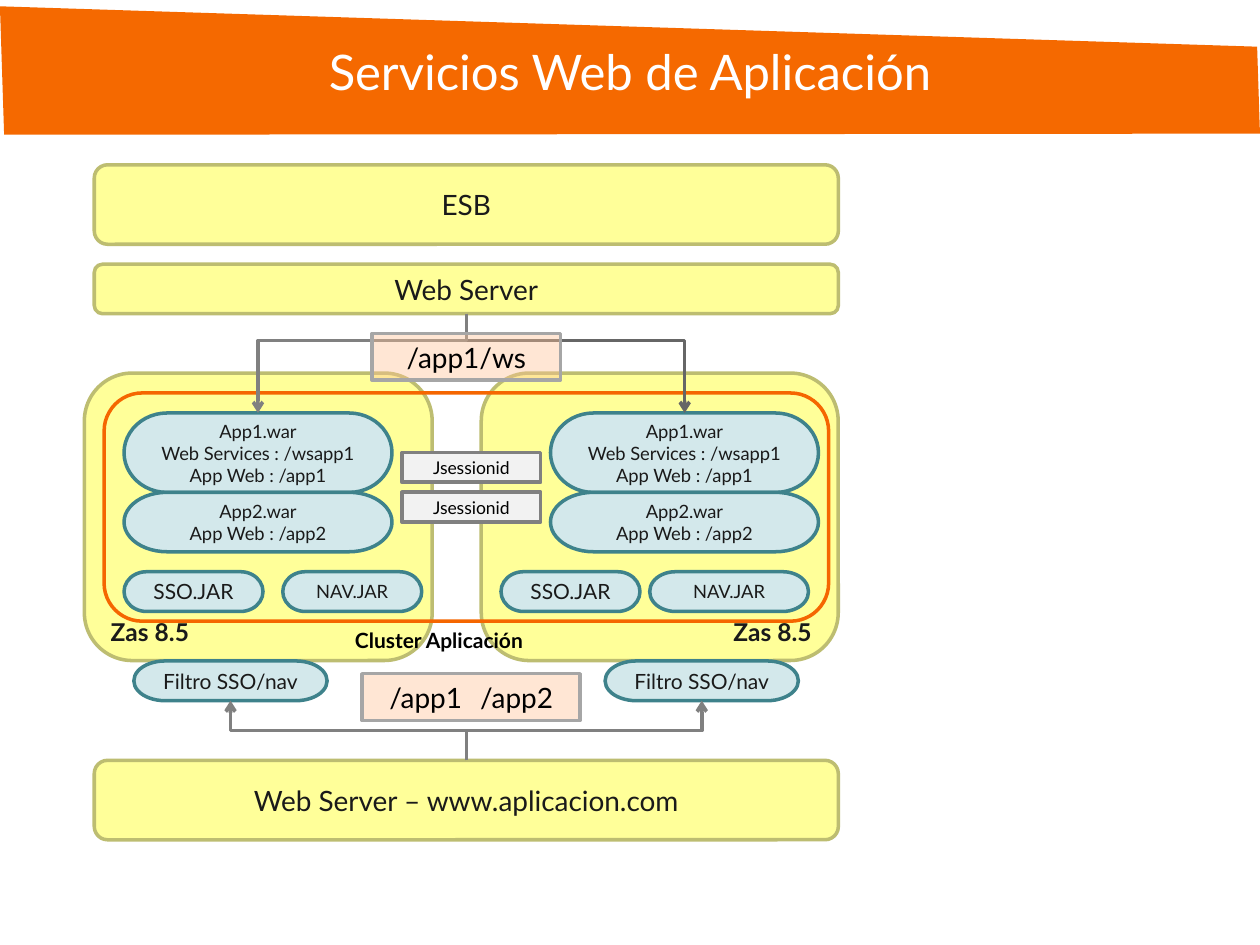
from dataclasses import dataclass

from lxml.etree import SubElement
from pptx import Presentation
from pptx.dml.color import RGBColor
from pptx.enum.shapes import MSO_CONNECTOR, MSO_SHAPE
from pptx.enum.text import MSO_ANCHOR, PP_ALIGN
from pptx.oxml.ns import qn
from pptx.util import Pt


@dataclass(frozen=True)
class Theme:
    font: str = "Lato"
    orange: str = "F56900"
    outline: str = "F56600"
    yellow: str = "FFFF99"
    olive: str = "BDBD71"
    pale_teal: str = "D3E8EB"
    teal: str = "3E828B"
    pale_gray: str = "F2F2F2"
    gray: str = "808080"
    dark_gray: str = "666666"
    light_gray: str = "A6A6A6"
    peach: str = "FFC195"
    ink: str = "1A1A1A"
    black: str = "000000"
    white: str = "FFFFFF"
    title: float = 28
    band: float = 16
    node: float = 14
    label: float = 12
    app: float = 10.5
    session: float = 10
    stroke: float = 2


theme = Theme()


def style(shape, fill, line, lines=(), size=theme.label, color=theme.ink,
          align=PP_ALIGN.CENTER, bold=False):
    """Set fill, outline and text; each line is a list of runs."""
    shape.shadow.inherit = False
    if fill:
        shape.fill.solid()
        shape.fill.fore_color.rgb = RGBColor.from_string(fill)
    else:
        shape.fill.background()
    if line:
        shape.line.color.rgb = RGBColor.from_string(line)
        shape.line.width = Pt(theme.stroke)
    else:
        shape.line.fill.background()
    frame = shape.text_frame
    frame.word_wrap = True
    frame.vertical_anchor = MSO_ANCHOR.MIDDLE
    for i, line_runs in enumerate(lines):
        paragraph = frame.add_paragraph() if i else frame.paragraphs[0]
        paragraph.alignment = align
        for text in line_runs:
            run = paragraph.add_run()
            run.text = text
            run.font.name = theme.font
            run.font.size = Pt(size)
            run.font.bold = bold
            run.font.color.rgb = RGBColor.from_string(color)
    return shape


def elbow(start, end, color, bend):
    """Arrow that leaves start vertically, crosses over, and reaches end."""
    (x1, y1), (x2, y2) = start, end
    rise, span = abs(y2 - y1), abs(x2 - x1)
    arrow = shapes.add_connector(MSO_CONNECTOR.ELBOW, 0, 0, 0, 0)
    arrow.left, arrow.top = Pt((x1 + x2 - rise) / 2), Pt((y1 + y2 - span) / 2)
    arrow.width, arrow.height = Pt(rise), Pt(span)
    rightward, upward = x2 > x1, y2 < y1
    properties = arrow._element.spPr
    frame = properties.find(qn("a:xfrm"))
    frame.set("rot", str((90 if rightward == upward else 270) * 60000))
    frame.set("flipH", str(int(rightward)))
    frame.set("flipV", str(int(upward)))
    guides = properties.find(qn("a:prstGeom")).find(qn("a:avLst"))
    SubElement(guides, qn("a:gd"), name="adj1", fmla=f"val {round(bend * 100000)}")
    arrow.line.color.rgb = RGBColor.from_string(color)
    arrow.line.width = Pt(theme.stroke)
    SubElement(properties.find(qn("a:ln")), qn("a:tailEnd"), type="arrow")
    SubElement(properties, qn("a:effectLst"))


deck = Presentation()
deck.slide_width, deck.slide_height = Pt(720), Pt(540)
shapes = deck.slides.add_slide(deck.slide_layouts[6]).shapes

# Server nodes, named at their lower outer corner
for left, width, align in ((48.2, 198.8, PP_ALIGN.LEFT), (275, 204, PP_ALIGN.RIGHT)):
    node = shapes.add_shape(MSO_SHAPE.ROUNDED_RECTANGLE,
                            Pt(left), Pt(213.2), Pt(width), Pt(164.3))
    style(node, theme.yellow, theme.olive, [["Zas 8.5"]], theme.node,
          align=align, bold=True)
    node.text_frame.vertical_anchor = MSO_ANCHOR.BOTTOM
    node.text_frame.margin_bottom = 0

# Title banner
outline = shapes.build_freeform(Pt(0), Pt(3.6))
outline.add_line_segments([(Pt(2.4), Pt(77)), (Pt(720), Pt(76.4)), (Pt(718.4), Pt(26.7))])
style(outline.convert_to_shape(), theme.orange, None,
      [["Servicios Web de Aplicación"]], theme.title, theme.white)

# Full-width bands
for name, top, height in (("ESB", 94.2, 45.4), ("Web Server", 151, 28.3),
                          ("Web Server – www.aplicacion.com", 434.5, 45.4)):
    band = shapes.add_shape(MSO_SHAPE.ROUNDED_RECTANGLE,
                            Pt(53.9), Pt(top), Pt(425.2), Pt(height))
    style(band, theme.yellow, theme.olive, [[name]], theme.band)

# Cluster outline and its caption
cluster = shapes.add_shape(MSO_SHAPE.ROUNDED_RECTANGLE,
                           Pt(59.5), Pt(224.6), Pt(414), Pt(130.4))
style(cluster, None, theme.outline)
caption = shapes.add_textbox(Pt(195.8), Pt(355), Pt(175.7), Pt(21.8))
style(caption, None, None, [["Cluster Aplicación"]], theme.label, theme.black,
      PP_ALIGN.LEFT, True)

# Applications, libraries and filters: text, left, top, width, height, size
app1 = [["App1.war"], ["Web Services : /wsapp1"], ["App Web : /app1"]]
app2 = [["App2.war"], ["App Web : /app2"]]
pills = []
for app_left, sso_left, nav_left, nav_width, filter_left in (
        (70.9, 70.9, 161.6, 79.4, 76.5), (314.6, 286.3, 371.3, 90.7, 345.8)):
    pills += [
        (app1, app_left, 236, 153.1, 45.4, theme.app),
        (app2, app_left, 281.3, 153.1, 34, theme.app),
        ([["SSO.JAR"]], sso_left, 326.7, 79.4, 22.7, theme.label),
        ([["NAV.JAR"]], nav_left, 326.7, nav_width, 22.7, theme.app),
        ([["Filtro SSO/nav"]], filter_left, 377.7, 110.4, 22.7, theme.label),
    ]
for lines, left, top, width, height, size in pills:
    pill = shapes.add_shape(MSO_SHAPE.FLOWCHART_TERMINATOR,
                            Pt(left), Pt(top), Pt(width), Pt(height))
    style(pill, theme.pale_teal, theme.teal, lines, size)

# Shared sessions
for top in (258.6, 281.3):
    session = shapes.add_shape(MSO_SHAPE.RECTANGLE, Pt(229.6), Pt(top), Pt(79.4), Pt(17))
    style(session, theme.pale_gray, theme.gray, [["Jsessionid"]],
          theme.session, theme.black)

# Requests from both web servers
center = 266.5
for target, color in ((391.2, theme.dark_gray), (147.4, theme.gray)):
    elbow((center, 179.3), (target, 236), color, 0.27)
for target in (131.7, 401):
    elbow((center, 434.5), (target, 400.4), theme.gray, 0.5)

# Routes over the arrows
for runs, left, top, width in ((["/app1", " ", "/app2"], 206.9, 385, 124.7),
                               (["/app1/ws"], 212.6, 190.6, 107.7)):
    route = shapes.add_shape(MSO_SHAPE.RECTANGLE, Pt(left), Pt(top), Pt(width), Pt(26.7))
    style(route, theme.peach, theme.light_gray, [runs], theme.band, theme.black)
    tint = route._element.spPr.find(qn("a:solidFill")).find(qn("a:srgbClr"))
    SubElement(tint, qn("a:alpha"), val="40000")
    for run in route.text_frame.paragraphs[0].runs:
        if run.text == " ":
            run.font._element.set("spc", "620")  # widen the gap between routes

deck.save("out.pptx")
